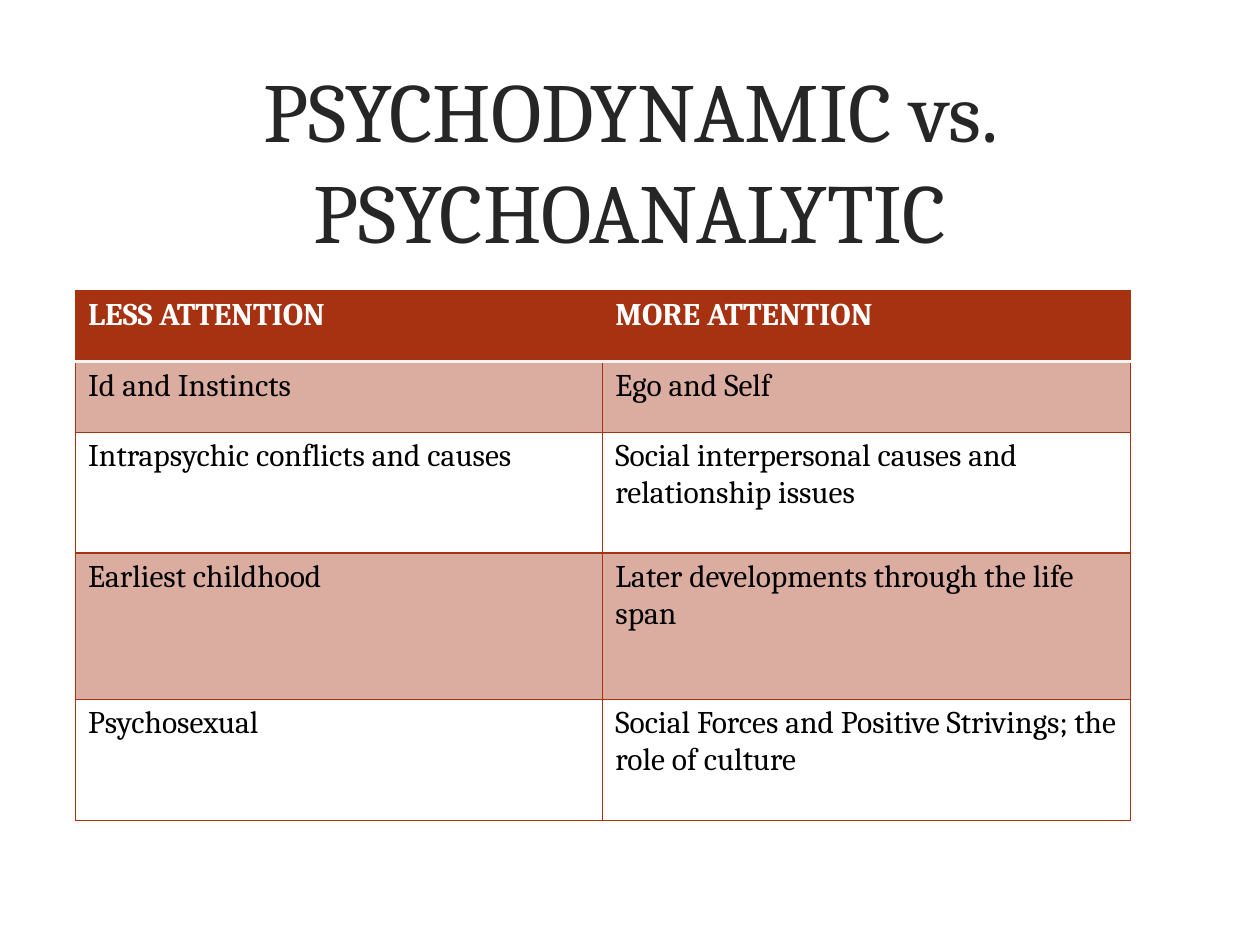
from dataclasses import dataclass

from lxml import etree
from pptx import Presentation
from pptx.dml.color import RGBColor
from pptx.enum.text import MSO_ANCHOR, PP_ALIGN
from pptx.oxml.ns import qn
from pptx.util import Inches, Pt

CENTER, LEFT = PP_ALIGN.CENTER, PP_ALIGN.LEFT
MIDDLE, TOP = MSO_ANCHOR.MIDDLE, MSO_ANCHOR.TOP

RUST = RGBColor(0xA6, 0x32, 0x12)
PALE = RGBColor(0xF4, 0xF4, 0xF4)
CHARCOAL = RGBColor(0x26, 0x26, 0x26)
BLACK = RGBColor(0, 0, 0)
WHITE = RGBColor(0xFF, 0xFF, 0xFF)

FONT = "Cambria"
SLIDE_WIDTH, SLIDE_HEIGHT = Inches(10), Inches(7.5)
TITLE_ONLY = 5
BAND_OPACITY = 40
THIN, THICK = 0.75, 1.5


@dataclass(frozen=True)
class Comparison:
    less: str
    more: str
    height: float


COMPARISONS = [
    Comparison("LESS ATTENTION", "MORE ATTENTION", 0.56),
    Comparison("Id and Instincts", "Ego and Self", 0.56),
    Comparison("Intrapsychic conflicts and causes",
               "Social interpersonal causes and relationship issues", 0.96),
    Comparison("Earliest childhood", "Later developments through the life span", 1.16),
    Comparison("Psychosexual",
               "Social Forces and Positive Strivings; the role of culture", 0.96),
]


def share(length: int, fraction: float) -> int:
    return round(length * fraction)


def write(frame, text: str, *, size: float, color: RGBColor,
          bold: bool = False, align=LEFT) -> None:
    paragraph = frame.paragraphs[0]
    paragraph.alignment = align
    run = paragraph.add_run()
    run.text = text
    run.font.name = FONT
    run.font.size = Pt(size)
    run.font.bold = bold
    run.font.color.rgb = color


def set_borders(cell, edges: dict[str, tuple[RGBColor, float]]) -> None:
    properties = cell._tc.get_or_add_tcPr()
    for position, side in enumerate("LRTB"):
        color, width = edges.get(side, (RUST, THIN))
        line = etree.Element(qn(f"a:ln{side}"), w=str(Pt(width)))
        fill = etree.SubElement(line, qn("a:solidFill"))
        etree.SubElement(fill, qn("a:srgbClr"), val=str(color))
        properties.insert(position, line)


def set_fill(cell, row: int) -> None:
    if row and row % 2 == 0:
        cell.fill.background()
        return
    cell.fill.solid()
    cell.fill.fore_color.rgb = RUST
    if row:
        color = cell._tc.tcPr.find(f"{qn('a:solidFill')}/{qn('a:srgbClr')}")
        etree.SubElement(color, qn("a:alpha"), val=str(BAND_OPACITY * 1000))


def add_title(slide, text: str) -> None:
    title = slide.shapes.title
    title.left, title.top = share(SLIDE_WIDTH, 0.06), share(SLIDE_HEIGHT, 0.064)
    title.width, title.height = share(SLIDE_WIDTH, 0.88), share(SLIDE_HEIGHT, 0.21)
    title.text_frame.word_wrap = True
    title.text_frame.vertical_anchor = MIDDLE
    write(title.text_frame, text, size=48, color=CHARCOAL, align=CENTER)


def add_comparison_table(slide, comparisons: list[Comparison]) -> None:
    height = Inches(sum(entry.height for entry in comparisons))
    table = slide.shapes.add_table(
        len(comparisons), 2, share(SLIDE_WIDTH, 0.06), share(SLIDE_HEIGHT, 0.308),
        share(SLIDE_WIDTH, 0.837), height).table
    header_rule = (PALE, THICK)
    for row, entry in enumerate(comparisons):
        table.rows[row].height = Inches(entry.height)
        edges = {0: {"B": header_rule}, 1: {"T": header_rule}}.get(row, {})
        for column, text in enumerate((entry.less, entry.more)):
            cell = table.cell(row, column)
            cell.vertical_anchor = TOP
            write(cell.text_frame, text, size=18, bold=row == 0,
                  color=BLACK if row else WHITE)
            set_fill(cell, row)
            set_borders(cell, edges)


def main() -> None:
    presentation = Presentation()
    presentation.slide_width, presentation.slide_height = SLIDE_WIDTH, SLIDE_HEIGHT
    slide = presentation.slides.add_slide(presentation.slide_layouts[TITLE_ONLY])
    add_title(slide, "PSYCHODYNAMIC vs. PSYCHOANALYTIC")
    add_comparison_table(slide, COMPARISONS)
    presentation.save("out.pptx")


if __name__ == "__main__":
    main()
